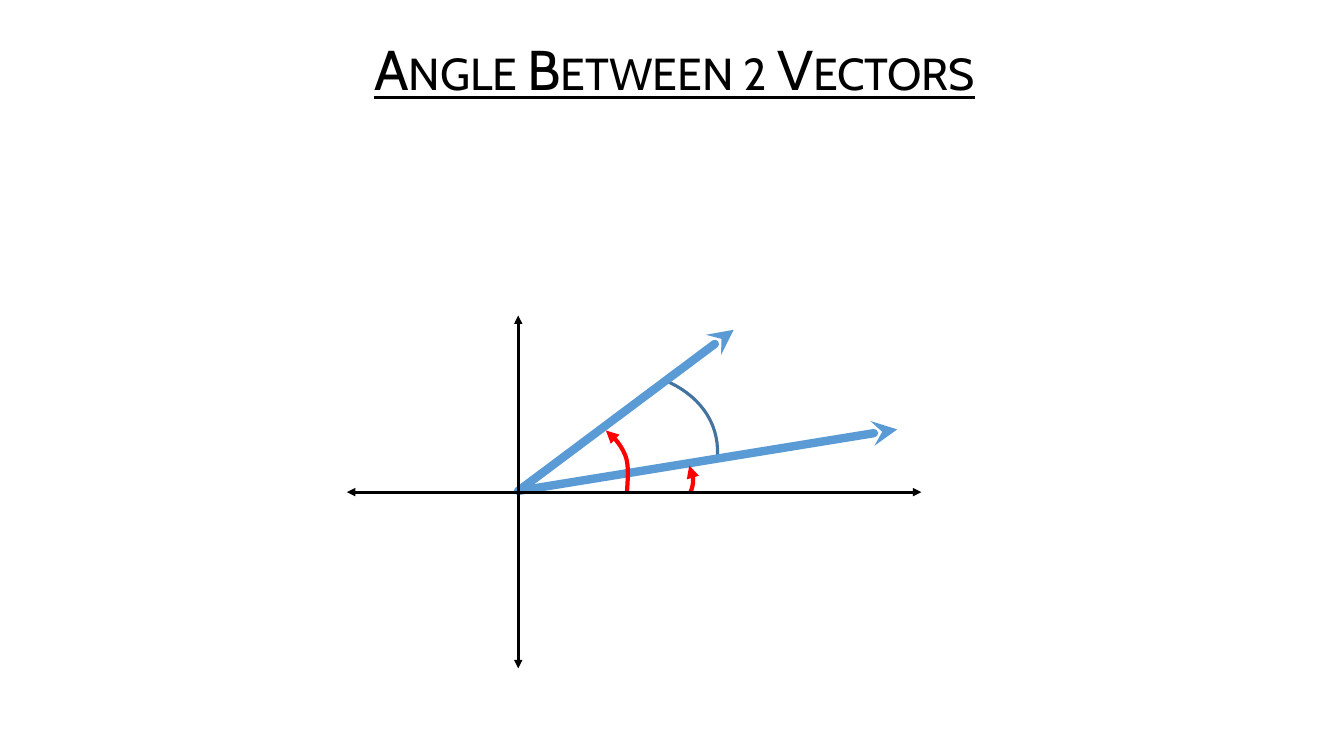
from lxml.etree import SubElement
from pptx import Presentation
from pptx.dml.color import RGBColor
from pptx.enum.shapes import MSO_CONNECTOR
from pptx.enum.text import MSO_ANCHOR, PP_ALIGN
from pptx.oxml.ns import qn
from pptx.util import Cm, Pt

BLACK = RGBColor(0x00, 0x00, 0x00)
BLUE = RGBColor(0x5B, 0x9B, 0xD5)
DARK_BLUE = RGBColor(0x43, 0x73, 0x9E)
RED = RGBColor(0xFF, 0x00, 0x00)

ORIGIN_X = 13.06
AXIS_Y = 12.4
VECTOR_START = (ORIGIN_X, 12.37)
VECTOR_TIPS = [(18.49, 8.31), (22.61, 10.82)]
AXES = [
    ((ORIGIN_X, 16.84), (ORIGIN_X, 7.95)),
    ((8.74, AXIS_Y), (23.22, AXIS_Y)),
]
# Each curve is a start point followed by three points per Bézier segment.
BETWEEN_ARC = [(16.79, 9.6), (17.55, 9.93), (18.14, 10.59), (18.08, 11.51)]
AXIS_ARCS = [
    [(15.8, AXIS_Y), (15.82, 12.07), (15.85, 11.76), (15.77, 11.51),
     (15.67, 11.25), (15.52, 11.05), (15.27, 10.85)],
    [(17.4, AXIS_Y), (17.5, 12.19), (17.48, 11.96), (17.37, 11.73)],
]


def bezier_points(points, steps=16):
    """Return points along a chain of cubic Bézier segments, without the start."""
    result = []
    for first in range(0, len(points) - 1, 3):
        controls = points[first:first + 4]
        for step in range(1, steps + 1):
            t = step / steps
            weights = ((1 - t) ** 3, 3 * t * (1 - t) ** 2, 3 * t ** 2 * (1 - t), t ** 3)
            result.append(tuple(
                sum(weight * control[axis] for weight, control in zip(weights, controls))
                for axis in (0, 1)))
    return result


class Diagram:
    """Holds the text style and the slide being drawn."""

    def __init__(self, slide, font_name):
        self.slide = slide
        self.font_name = font_name

    def text(self, text, left, top, width, height, size=18, color=BLACK,
             align=PP_ALIGN.LEFT, underline=False, small_caps=False, line_spacing=1.0):
        box = self.slide.shapes.add_textbox(Cm(left), Cm(top), Cm(width), Cm(height))
        frame = box.text_frame
        frame.word_wrap = True
        frame.vertical_anchor = MSO_ANCHOR.MIDDLE
        paragraph = frame.paragraphs[0]
        paragraph.alignment = align
        paragraph.line_spacing = line_spacing
        run = paragraph.add_run()
        run.text = text
        run.font.name = self.font_name
        run.font.size = Pt(size)
        run.font.color.rgb = color
        run.font.underline = underline
        if small_caps:
            run.font._element.set("cap", "small")

    def style_line(self, shape, color, width, head=None, tail=None, cap="flat"):
        shape.line.color.rgb = color
        shape.line.width = Pt(width)
        line = shape.line._get_or_add_ln()
        line.set("cap", cap)
        for tag, arrow in (("a:headEnd", head), ("a:tailEnd", tail)):
            if arrow:
                SubElement(line, qn(tag)).set("type", arrow)

    def line(self, start, end, color, width, **ends):
        connector = self.slide.shapes.add_connector(
            MSO_CONNECTOR.STRAIGHT, *(Cm(value) for value in start + end))
        self.style_line(connector, color, width, **ends)
        SubElement(connector._element.spPr, qn("a:effectLst"))

    def curve(self, points, color, width, **ends):
        start_x, start_y = points[0]
        builder = self.slide.shapes.build_freeform(Cm(start_x), Cm(start_y))
        builder.add_line_segments(
            [(Cm(x), Cm(y)) for x, y in bezier_points(points)], close=False)
        shape = builder.convert_to_shape()
        shape.fill.background()
        self.style_line(shape, color, width, **ends)
        shape.shadow.inherit = False


def main():
    presentation = Presentation()
    presentation.slide_width = Cm(33.87)
    presentation.slide_height = Cm(19.05)
    slide = presentation.slides.add_slide(presentation.slide_layouts[6])
    diagram = Diagram(slide, "Cabin")

    diagram.curve(BETWEEN_ARC, DARK_BLUE, 2.25)
    diagram.text("Angle Between 2 Vectors", 4.5, 0.74, 25, 2.16, size=40,
                 align=PP_ALIGN.CENTER, underline=True, small_caps=True, line_spacing=0.9)
    for tip in VECTOR_TIPS:
        diagram.line(VECTOR_START, tip, BLUE, 6, tail="stealth", cap="rnd")
    for arc in AXIS_ARCS:
        diagram.curve(arc, RED, 3, tail="triangle")
    for start, end in AXES:
        diagram.line(start, end, BLACK, 2, head="triangle", tail="triangle")

    presentation.save("out.pptx")


if __name__ == "__main__":
    main()
